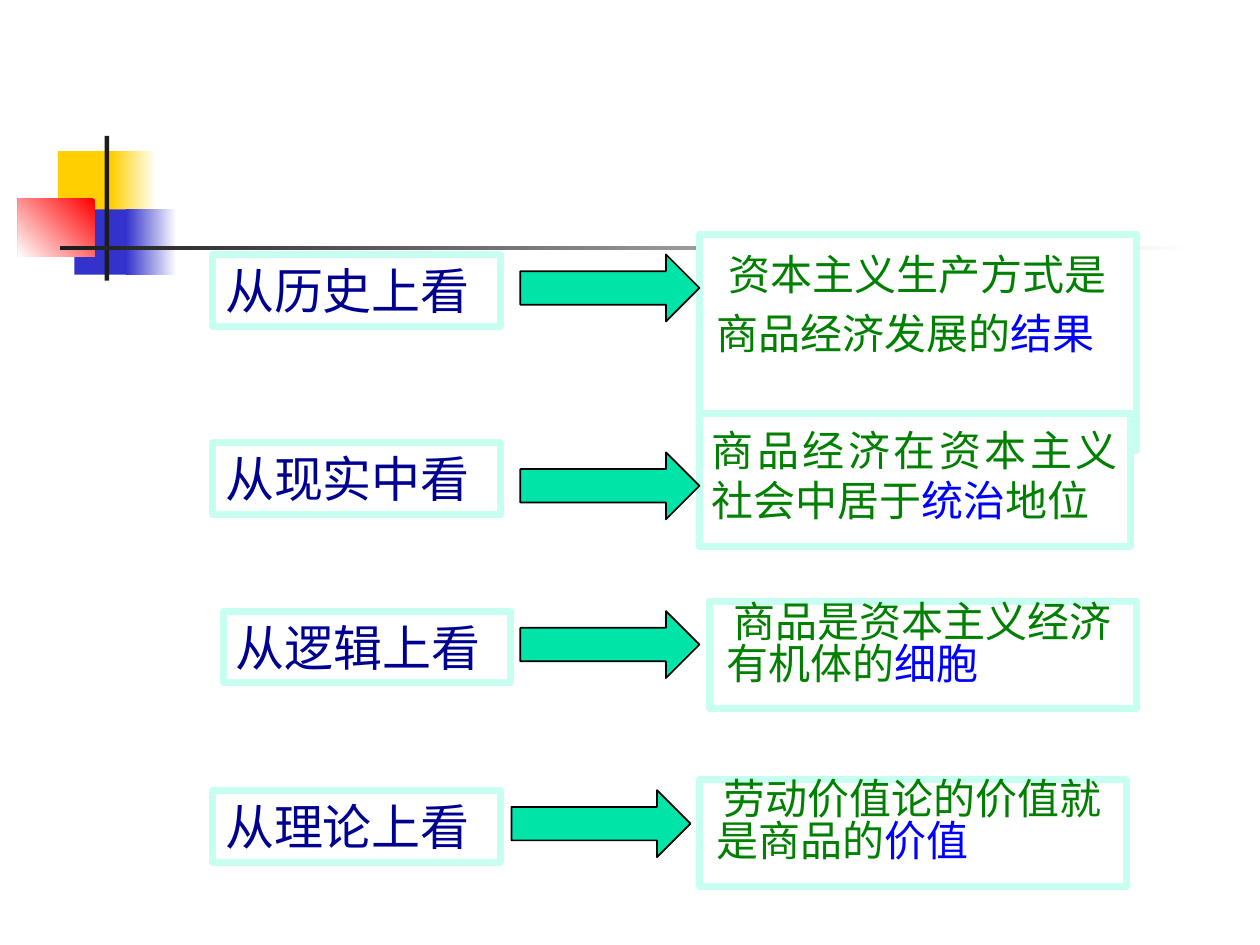
from pptx import Presentation
from pptx import util as u
from pptx.dml.color import RGBColor
from pptx.enum import shapes, text
from pptx.oxml.ns import qn
from lxml import etree

Cm, Pt = u.Cm, u.Pt
hues = {"gold": "FFCF01", "blue": "3333CC", "red": "FF0000", "dark": "1C1C1C",
        "white": "FFFFFF", "mint": "C7FFF0", "jade": "00E4A8", "black": "000000",
        "navy": "000090", "green": "008000", "key": "0000FF"}
rgb = {name: RGBColor.from_string(code) for name, code in hues.items()}
face = "Noto Sans CJK JP"
kind = shapes.MSO_SHAPE

deck = Presentation()
deck.slide_width, deck.slide_height = Cm(25.4), Cm(19.05)
slide = deck.slides.add_slide(deck.slide_layouts[6])


def draw(form, spot, fill, line=None, width=0):
    shape = slide.shapes.add_shape(form, *[Cm(v) for v in spot])
    shape.shadow.inherit = False
    if isinstance(fill, tuple):
        start, end, angle = fill
        shape.fill.gradient()
        shape.fill.gradient_angle = angle
        for stop, hue in zip(shape.fill.gradient_stops, (start, end)):
            stop.color.rgb = rgb[hue]
    else:
        shape.fill.solid()
        shape.fill.fore_color.rgb = rgb[fill]
    if line:
        shape.line.color.rgb = rgb[line]
        shape.line.width = Pt(width)
    else:
        shape.line.fill.background()
    return shape


def write(shape, parts, size, align, anchor, top=0.13):
    frame = shape.text_frame
    frame.word_wrap = True
    frame.vertical_anchor = anchor
    frame.margin_left = frame.margin_right = Cm(0.25)
    frame.margin_top, frame.margin_bottom = Cm(top), Cm(0.13)
    para = frame.paragraphs[0]
    para.alignment = align
    para.font.size = Pt(size)
    para.font.name = face
    for words, hue in parts:
        run = para.add_run()
        run.text = words
        run.font.color.rgb = rgb[hue]
        east = etree.SubElement(run.font._element, qn("a:ea"))
        east.set("typeface", face)
    return para


for spot, fill in [
    ((1.17, 3.05, 1.22, 1.32), "gold"),
    ((2.24, 3.05, 0.91, 1.32), ("white", "gold", 180)),
    ((1.5, 4.22, 1.17, 1.32), "blue"),
    ((2.54, 4.22, 1.02, 1.32), ("white", "blue", 180)),
    ((0.36, 4.01, 1.55, 1.17), ("red", "white", 225)),
    ((2.11, 2.74, 0.09, 2.92), "dark"),
    ((1.22, 4.95, 22.86, 0.09), ("white", "dark", 180)),
]:
    draw(kind.RECTANGLE, spot, fill)

left, just = text.PP_ALIGN.LEFT, text.PP_ALIGN.JUSTIFY
high, mid = text.MSO_ANCHOR.TOP, text.MSO_ANCHOR.MIDDLE

rows = [
    ("从历史上看", (4.29, 5.13), (10.49, 5.13), (14.1, 4.72, 8.81, 4.37),
     ("资本主义生产方式是商品经济发展的", "结果", ""), left, 1.18, 0.1, 0.1, 0.24),
    ("从现实中看", (4.29, 8.92), (10.49, 9.12), (14.1, 8.33, 8.69, 2.69),
     ("商品经济在资本主义社会中居于", "统治", "地位"), just, 1, 0.22, 0, 0),
    ("从逻辑上看", (4.5, 12.32), (10.49, 12.32), (14.3, 12.12, 8.61, 2.16),
     ("商品是资本主义经济有机体的", "细胞", ""), left, 0.84, 0.04, 0.1, 0.13),
    ("从理论上看", (4.29, 15.93), (10.31, 15.93), (14.1, 15.72, 8.61, 2.16),
     ("劳动价值论的价值就是商品的", "价值", ""), left, 0.84, 0.02, 0.1, 0.13),
]

for label, spot, tail, area, claim, align, gap, top, edge, dent in rows:
    box = draw(kind.RECTANGLE, area, "white", "mint", 4)
    parts = [(words, hue) for words, hue in zip(claim, ("green", "key", "green")) if words]
    para = write(box, parts, 24, align, high, top)
    para.line_spacing = gap
    props = para._p.get_or_add_pPr()
    props.set("marL", str(Cm(edge)))
    props.set("indent", str(Cm(dent)))

    tag = draw(kind.RECTANGLE, (*spot, 5.8, 1.45), "white", "mint", 4)
    write(tag, [(label, "navy")], 28, just, mid)
    draw(kind.RIGHT_ARROW, (*tail, 3.61, 1.35), "jade", "black", 1)

deck.save("out.pptx")
